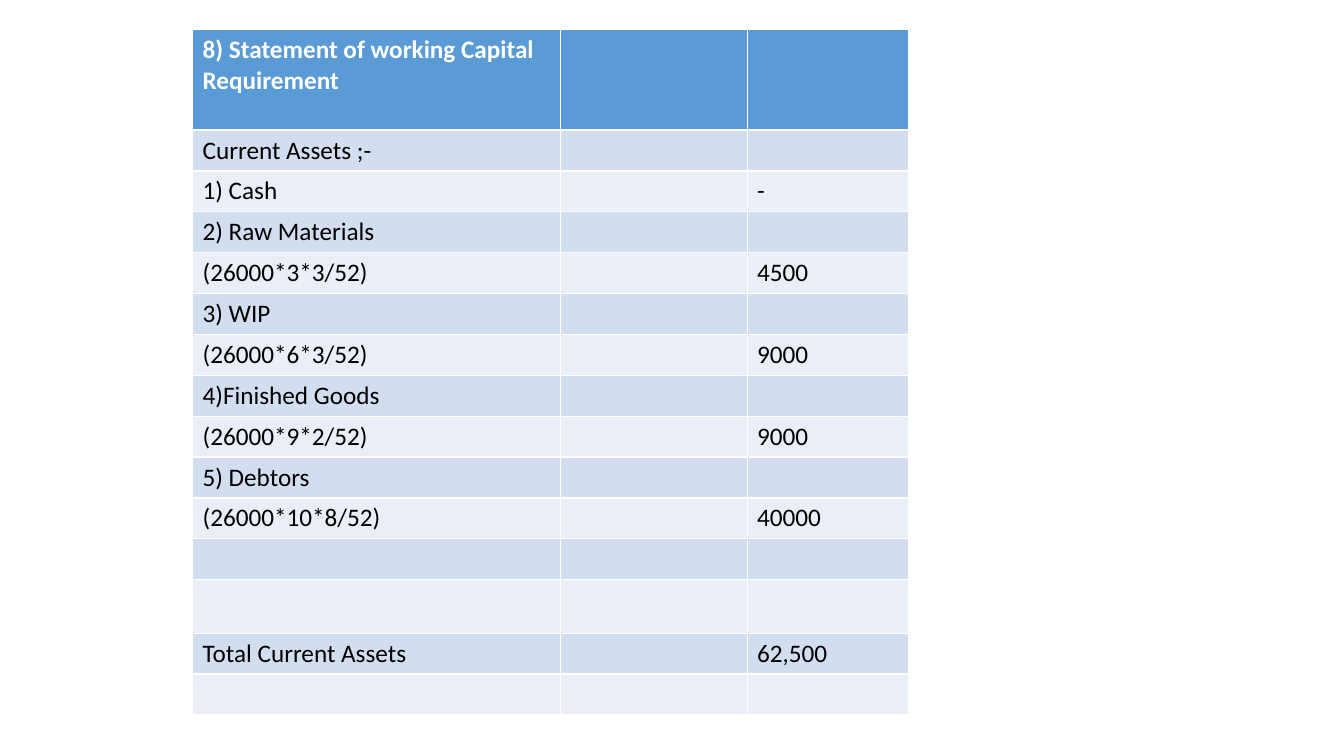
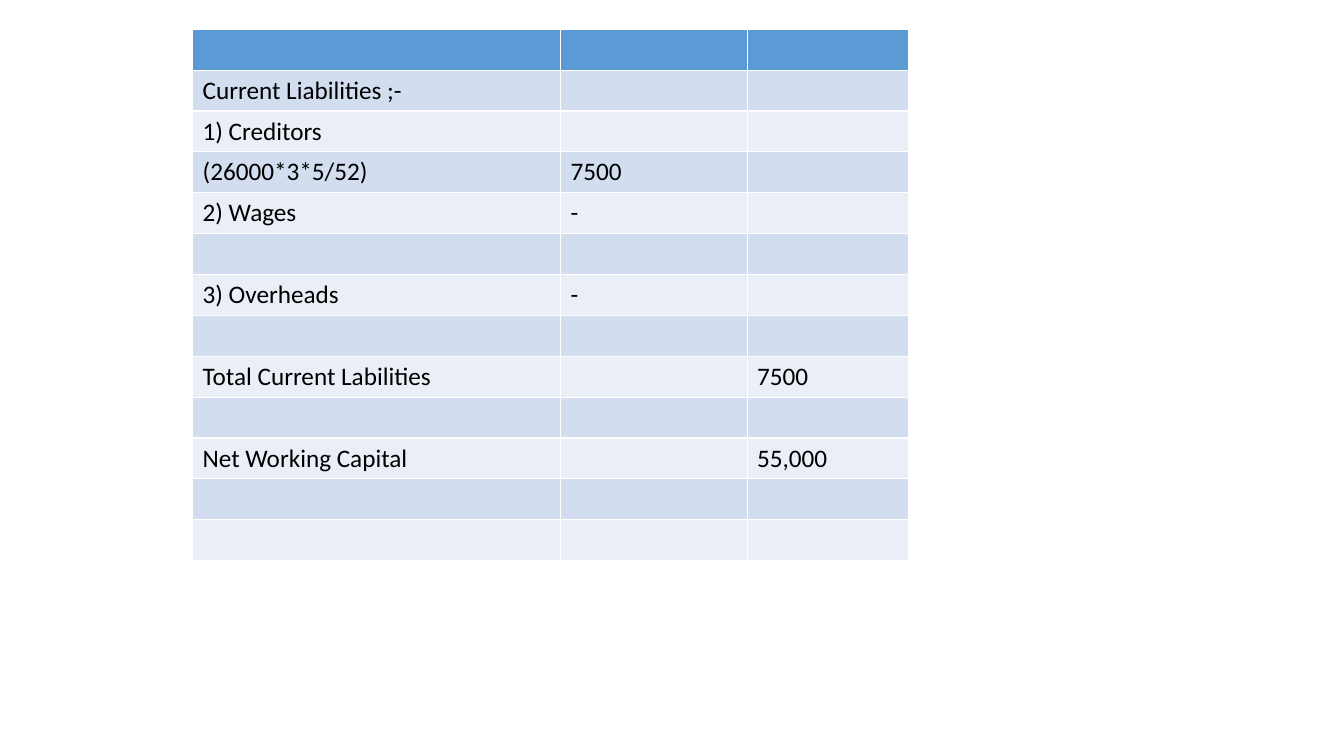
import pptx
import pptx.util
import pptx.dml.color

# Content: one list of rows per slide, each row is (item, detail, amount)
ASSETS = [
    ("8) Statement of working Capital Requirement", "", ""),
    ("Current Assets ;-", "", ""),
    ("1) Cash", "", "-"),
    ("2) Raw Materials", "", ""),
    ("(26000*3*3/52)", "", "4500"),
    ("3) WIP", "", ""),
    ("(26000*6*3/52)", "", "9000"),
    ("4)Finished Goods", "", ""),
    ("(26000*9*2/52)", "", "9000"),
    ("5) Debtors", "", ""),
    ("(26000*10*8/52)", "", "40000"),
    ("", "", ""),
    ("", "", ""),
    ("Total Current Assets", "", "62,500"),
    ("", "", ""),
]
LIABILITIES = [
    ("", "", ""),
    ("Current Liabilities ;-", "", ""),
    ("1) Creditors", "", ""),
    ("(26000*3*5/52)", "7500", ""),
    ("2) Wages", "-", ""),
    ("", "", ""),
    ("3) Overheads", "-", ""),
    ("", "", ""),
    ("Total Current Labilities", "", "7500"),
    ("", "", ""),
    ("Net Working Capital", "", "55,000"),
    ("", "", ""),
    ("", "", ""),
]
# Rows taller than the rest: {row index: height}
STATEMENTS = [(ASSETS, {0: 1.0, 12: 0.53}), (LIABILITIES, {})]

# Shared look
COLORS = {"header": "5B9BD5", "odd": "D2DEEF", "even": "EAEFF7",
          "header_text": "FFFFFF", "text": "000000"}
FONT, SIZE = "Calibri", 18
LEFT, TOP = 1.91, 0.29
COLUMNS = [3.65, 1.85, 1.6]
ROW = 5.27 / 13

Inches = pptx.util.Inches


def color(name):
    return pptx.dml.color.RGBColor.from_string(COLORS[name])


def style_cell(cell, text, row):
    band = "header" if row == 0 else "odd" if row % 2 else "even"
    cell.fill.solid()
    cell.fill.fore_color.rgb = color(band)
    cell.text_frame.text = text
    font = cell.text_frame.paragraphs[0].font
    font.size = pptx.util.Pt(SIZE)
    for r in cell.text_frame.paragraphs[0].runs:
        r.font.name = FONT
        r.font.size = pptx.util.Pt(SIZE)
        r.font.bold = row == 0
        r.font.color.rgb = color("text" if row else "header_text")


def add_statement(prs, rows, tall):
    s = prs.slides.add_slide(prs.slide_layouts[6])
    heights = [tall.get(i, ROW) for i in range(len(rows))]
    # The default table style supplies the white cell borders
    table = s.shapes.add_table(
        len(rows), len(COLUMNS), Inches(LEFT), Inches(TOP),
        Inches(sum(COLUMNS)), Inches(sum(heights))).table
    for column, width in zip(table.columns, COLUMNS):
        column.width = Inches(width)
    for i, (texts, height) in enumerate(zip(rows, heights)):
        table.rows[i].height = Inches(height)
        for j, text in enumerate(texts):
            style_cell(table.cell(i, j), text, i)


def main():
    prs = pptx.Presentation()
    prs.slide_width, prs.slide_height = Inches(13.33), Inches(7.5)
    for rows, tall in STATEMENTS:
        add_statement(prs, rows, tall)
    prs.save("out.pptx")


if __name__ == "__main__":
    main()
